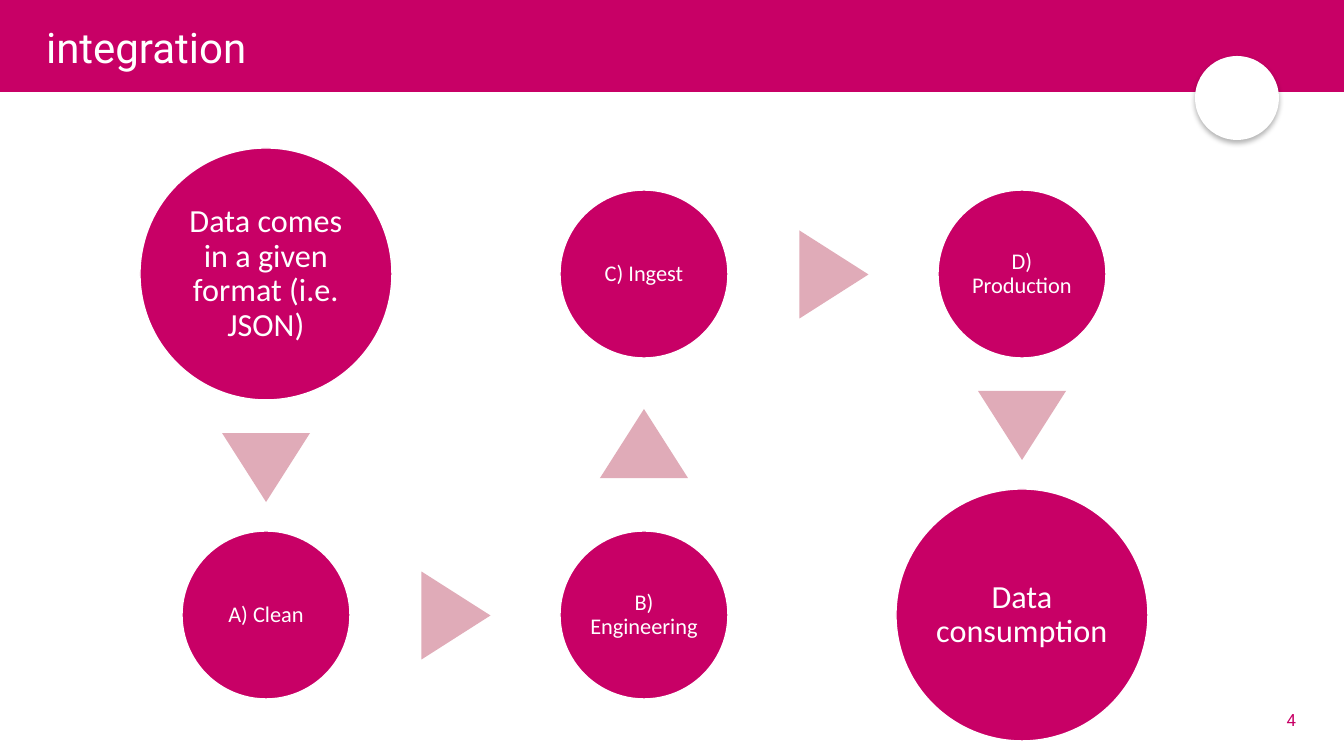
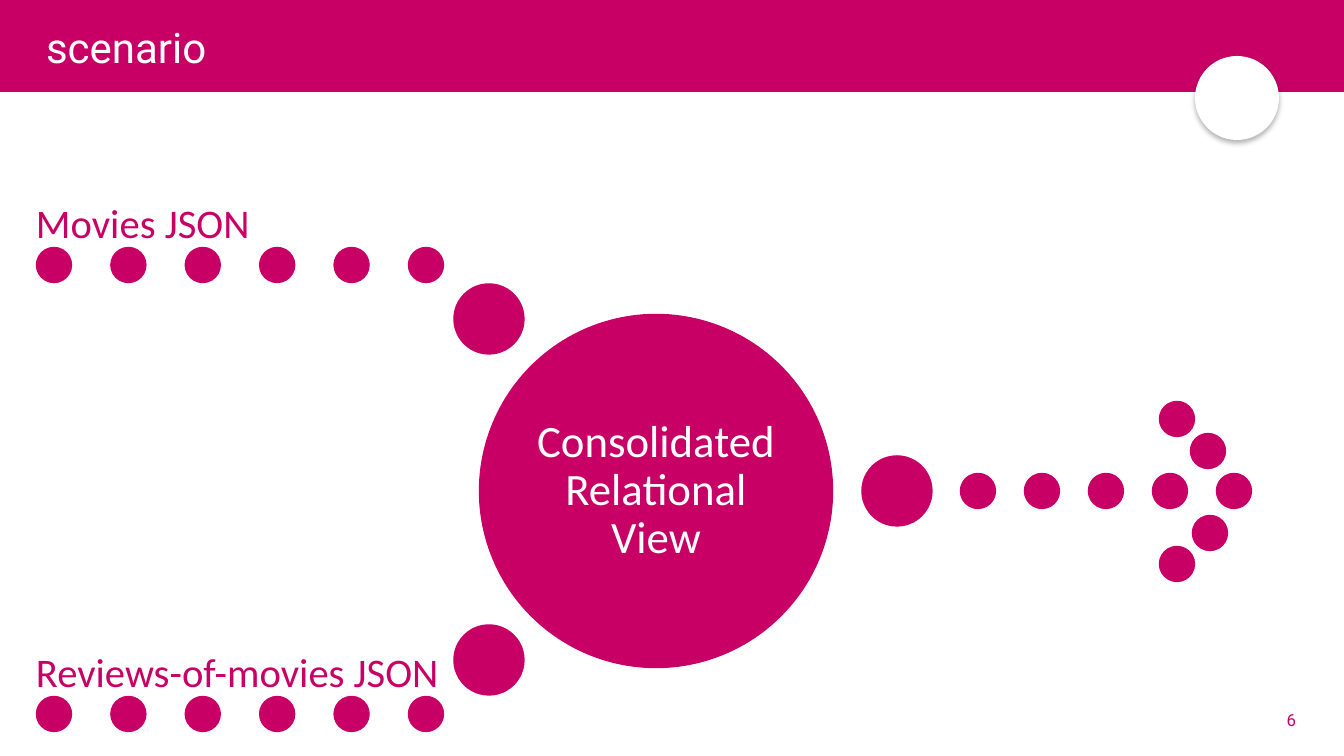
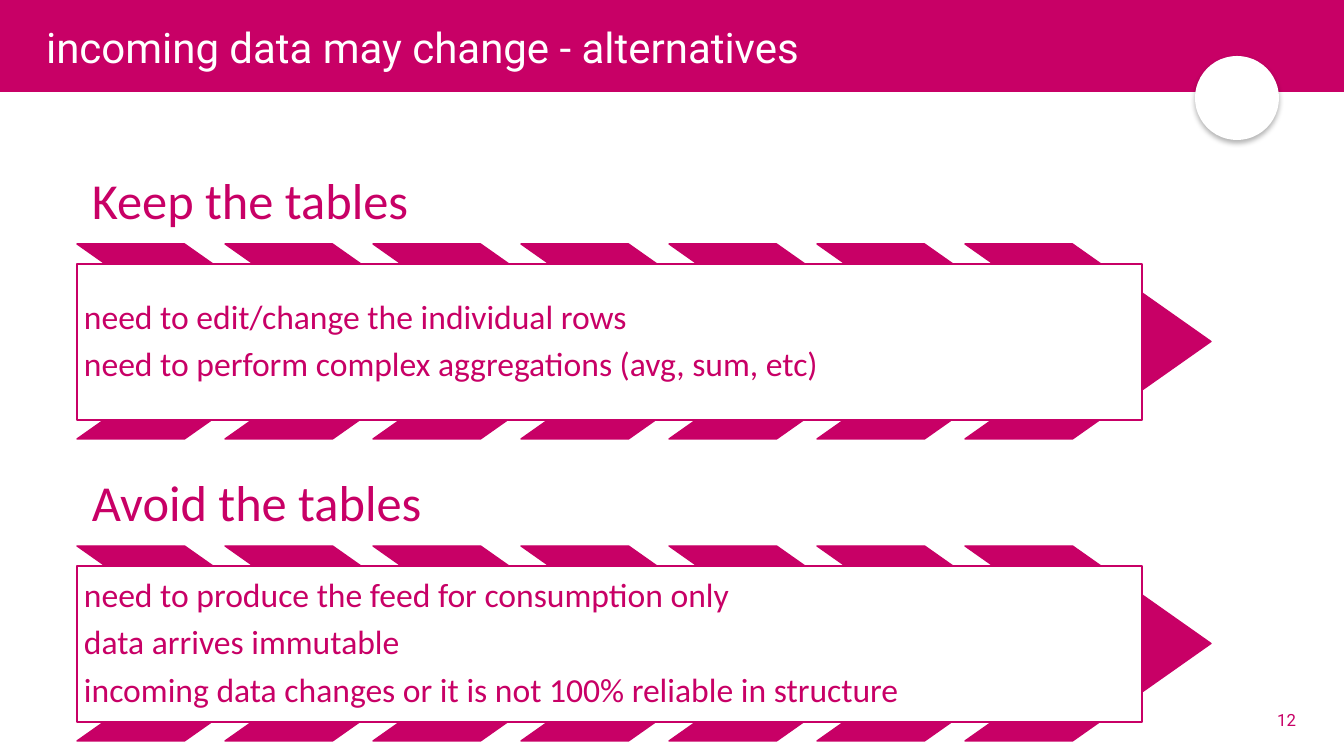
from lxml import etree
from pptx import Presentation
from pptx.dml.color import RGBColor
from pptx.enum.shapes import MSO_SHAPE
from pptx.enum.text import MSO_ANCHOR, MSO_AUTO_SIZE, PP_ALIGN
from pptx.oxml import parse_xml
from pptx.oxml.ns import nsdecls
from pptx.util import Emu, Pt

PINK = RGBColor(0xC8, 0x00, 0x66)
PALE_PINK = RGBColor(0xE0, 0xAB, 0xB8)
WHITE = RGBColor(0xFF, 0xFF, 0xFF)

HEAD_FONT, BODY_FONT = "Roboto", "Calibri"
RECT, ELLIPSE = MSO_SHAPE.RECTANGLE, MSO_SHAPE.OVAL
TRIANGLE, CHEVRON = MSO_SHAPE.ISOSCELES_TRIANGLE, MSO_SHAPE.CHEVRON
LEFT, CENTER, RIGHT = PP_ALIGN.LEFT, PP_ALIGN.CENTER, PP_ALIGN.RIGHT
MIDDLE, BOTTOM = MSO_ANCHOR.MIDDLE, MSO_ANCHOR.BOTTOM

SCALE = 914400 / 100.8
TITLE_ONLY = 5
DOT, BIG_DOT = 35, 70

SOFT_SHADOW = f"""<a:effectLst {nsdecls('a')}>
  <a:outerShdw blurRad="50800" dist="25400" dir="5400000" algn="t" rotWithShape="0">
    <a:srgbClr val="000000"><a:alpha val="30000"/></a:srgbClr>
  </a:outerShdw>
</a:effectLst>"""


def px(n):
    """Turn pixels into EMU."""
    return Emu(round(n * SCALE))


def spread(first, last, count):
    """Return evenly spaced positions from first to last."""
    return [first + (last - first) * i / (count - 1) for i in range(count)]


def set_text(shape, lines, size, color=PINK, font=BODY_FONT, align=LEFT,
             anchor=MIDDLE, margin=None, spacing=0.9, after=True):
    """Write one paragraph per line in a single format."""
    tf = shape.text_frame
    frame = {"word_wrap": True, "auto_size": MSO_AUTO_SIZE.NONE,
             "vertical_anchor": anchor}
    if margin is not None:
        for side in ("left", "top", "right", "bottom"):
            frame[f"margin_{side}"] = px(margin)
    for name, value in frame.items():
        setattr(tf, name, value)
    tf.text = "\n".join(lines)
    for p in tf.paragraphs:
        p.alignment, p.line_spacing = align, spacing
        if after:
            p.space_after = Pt(round(size * 0.33))
        for name, value in {"name": font, "size": Pt(size)}.items():
            setattr(p.runs[0].font, name, value)
        p.runs[0].font.color.rgb = color


def add_text(s, box, lines, size, **style):
    """Add a text box at (left, top, width, height)."""
    set_text(s.shapes.add_textbox(*map(px, box)), lines, size, **style)


def add_shape(s, kind, box, fill=PINK, line=None):
    """Add a flat preset shape at (left, top, width, height)."""
    shape = s.shapes.add_shape(kind, *map(px, box))
    shape.shadow.inherit = False
    shape.fill.solid()
    shape.fill.fore_color.rgb = fill
    if line is None:
        shape.line.fill.background()
    else:
        shape.line.color.rgb = line
        shape.line.width = Pt(1)
    return shape


def add_circle(s, x, y, size, line=PINK):
    """Add a pink circle centred on x, y."""
    return add_shape(s, ELLIPSE, (x - size / 2, y - size / 2, size, size), line=line)


def add_triangle(s, x, y, rotation):
    """Add a flow triangle centred on x, y; rotation 0 points up."""
    shape = add_shape(s, TRIANGLE, (x - 44, y - 34, 88, 69), PALE_PINK)
    shape.rotation = rotation


def build_layout(s):
    """Give the layout of s its band, badge and title position."""
    layout = s.slide_layout
    title = layout.placeholders[0]
    box = dict(zip(("left", "top", "width", "height"), (36, 15, 1216, 70)))
    for name, value in box.items():
        setattr(title, name, px(value))
    band = add_shape(s, RECT, (0, 0, 1344, 92))
    badge = add_shape(s, ELLIPSE, (1195, 56, 84, 84), WHITE)
    sp_pr = badge.element.spPr
    sp_pr.replace(sp_pr.find("{*}effectLst"), parse_xml(SOFT_SHADOW))
    for index, shape in enumerate((band, badge), 2):
        layout.shapes.element.insert(index, shape.element)


def add_slide(prs, title, number):
    """Add a slide with its title and page number."""
    s = prs.slides.add_slide(prs.slide_layouts[TITLE_ONLY])
    if len(prs.slides) == 1:
        build_layout(s)
    set_text(s.shapes.title, [title], 30, WHITE, HEAD_FONT, after=False)
    add_text(s, (1245, 700, 61, 40), [str(number)], 12, font=HEAD_FONT,
             align=RIGHT, spacing=1, after=False)
    return s


def add_process(s):
    """Draw the winding flow of circles and triangles."""
    columns, rows = spread(266, 1022, 3), (274, 615)
    steps = [
        (0, 0, "Data comes in a given format (i.e. JSON)", True),
        (0, 1, "A) Clean", False),
        (1, 1, "B) Engineering", False),
        (1, 0, "C) Ingest", False),
        (2, 0, "D) Production", False),
        (2, 1, "Data consumption", True),
    ]
    for column, row, label, big in steps:
        diameter, size, margin = (252, 23, 3) if big else (168, 16, 2)
        circle = add_circle(s, columns[column], rows[row], diameter, WHITE)
        set_text(circle, [label], size, WHITE, align=CENTER, margin=margin)
    for x, y, rotation in [(266, 467, 180), (456, 615, 90), (644, 443, 0),
                           (834, 274, 90), (1022, 425, 180)]:
        add_triangle(s, x, y, rotation)


def add_source(s, top, label):
    """Add a labelled row of dots for one data source."""
    add_text(s, (36, top, 409, 90), [label], 29, anchor=BOTTOM, margin=0)
    for x in spread(54, 426, 6):
        add_circle(s, x, top + 108, DOT)


def add_convergence(s):
    """Draw two sources that join in one view, and the arrow out of it."""
    view = add_circle(s, 656, 491, 353)
    set_text(view, ["Consolidated Relational View"], 32, WHITE,
             align=CENTER, margin=4)
    add_source(s, 157, "Movies JSON")
    add_source(s, 606, "Reviews-of-movies JSON")
    for x, y in [(489, 319), (489, 660), (897, 491)]:
        add_circle(s, x, y, BIG_DOT)
    shaft = [(x, 491) for x in spread(978, 1234, 5)]
    head = [(1177, 419), (1208, 451), (1210, 533), (1177, 564)]
    for x, y in shaft + head:
        add_circle(s, x, y, DOT)


def add_alternative(s, top, heading, points):
    """Add a heading and a boxed list over a row of chevrons."""
    add_text(s, (77, top, 1051, 96), [heading], 36, anchor=BOTTOM, margin=15)
    for x in spread(77, 965, 7):
        chevron = add_shape(s, CHEVRON, (x, top + 95, 246, 195), line=PINK)
        chevron.adjustments[0] = 0.71
    box = add_shape(s, RECT, (77, top + 115, 1065, 156), WHITE, PINK)
    set_text(box, points, 24, margin=7)


def main():
    """Build and save the presentation."""
    prs = Presentation()
    prs.slide_width, prs.slide_height = px(1344), px(756)

    add_process(add_slide(prs, "integration", 4))
    add_convergence(add_slide(prs, "scenario", 6))

    s = add_slide(prs, "incoming data may change - alternatives", 12)
    add_alternative(s, 149, "Keep the tables", [
        "need to edit/change the individual rows",
        "need to perform complex aggregations (avg, sum, etc)",
    ])
    add_alternative(s, 451, "Avoid the tables", [
        "need to produce the feed for consumption only",
        "data arrives immutable",
        "incoming data changes or it is not 100% reliable in structure",
    ])
    prs.save("out.pptx")


main()
